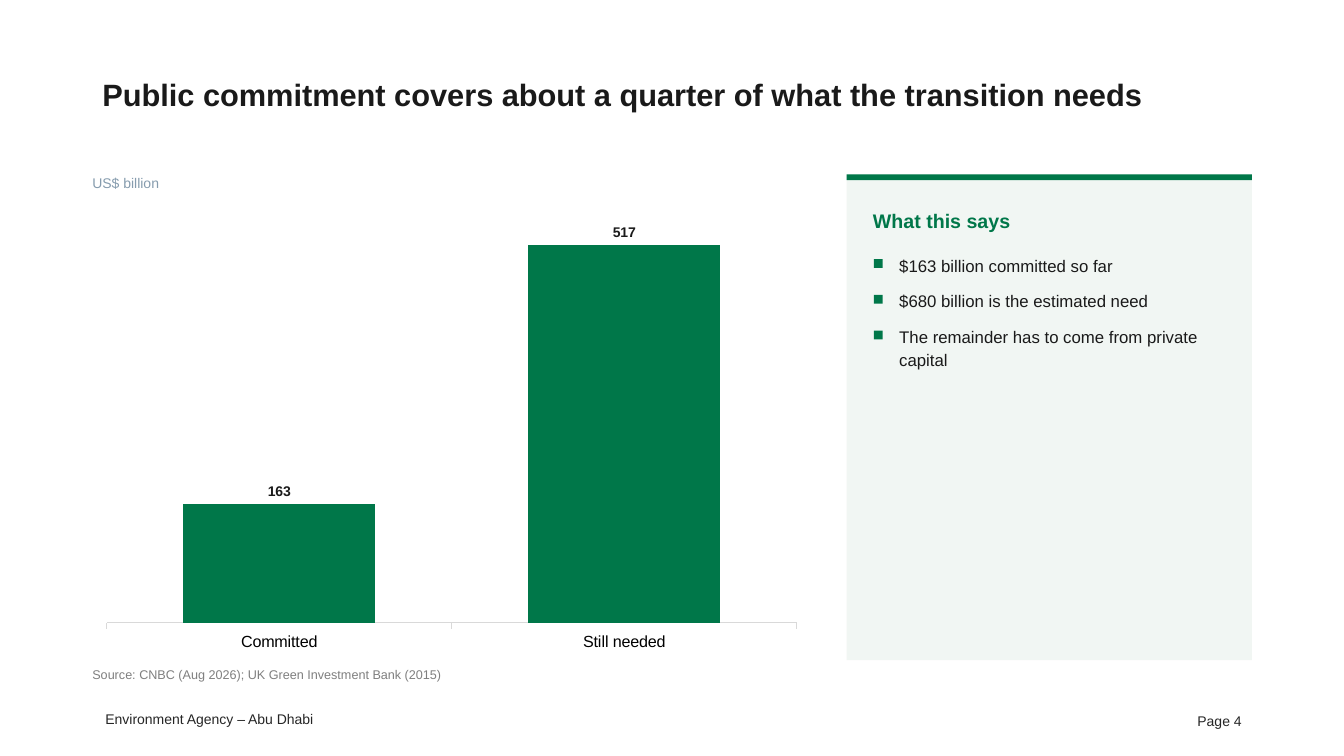
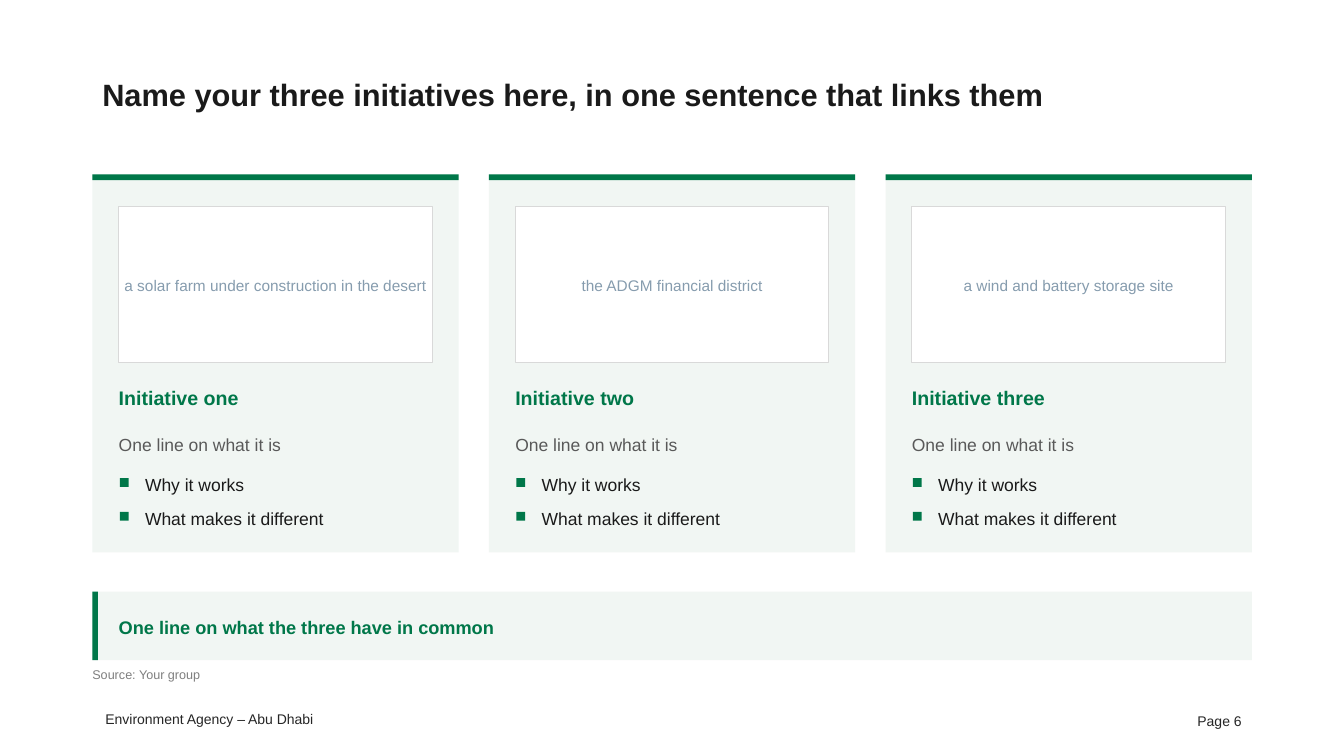
from pptx import Presentation
from pptx.chart.data import CategoryChartData
from pptx.dml.color import RGBColor
from pptx.enum import chart as ch, shapes, text
from pptx.util import Pt

COLORS = {"green": "007749", "tint": "F1F6F3", "white": "FFFFFF", "rule": "D9D9D9",
          "ink": "1A1A1A", "body": "595959", "source": "7F7F7F", "caption": "869CAE",
          "footer": "262626", "black": "000000"}
C = {name: RGBColor.from_string(code) for name, code in COLORS.items()}
FONT = "Arial"

LEFT, WIDTH = 66, 828.2
TOP, BOTTOM = 124.6, 471.6
PAD = 18.8
BAR = 4
INSET = (7.2, 3.6)
A, V = text.PP_ALIGN, text.MSO_ANCHOR


def box(s, x, y, w, h, words="", size=12, color="ink", bold=False, align=A.LEFT,
        anchor=V.TOP, inset=(0, 0), leading=1.12, after=3, wrap=True,
        fill=None, line=None):
    """Add a filled rectangle, or a text box if there is no fill, with its text."""
    place = Pt(x), Pt(y), Pt(w), Pt(h)
    if fill:
        sp = s.shapes.add_shape(shapes.MSO_SHAPE.RECTANGLE, *place)
        sp.shadow.inherit = False
        sp.fill.solid()
        sp.fill.fore_color.rgb = C[fill]
        if line:
            sp.line.color.rgb = C[line]
            sp.line.width = Pt(0.75)
        else:
            sp.line.fill.background()
    else:
        sp = s.shapes.add_textbox(*place)
    if words:
        tf = sp.text_frame
        tf.word_wrap = wrap
        tf.vertical_anchor = anchor
        tf.margin_left = tf.margin_right = Pt(inset[0])
        tf.margin_top = tf.margin_bottom = Pt(inset[1])
        p = tf.paragraphs[0]
        p.alignment = align
        p.line_spacing = leading
        p.space_after = Pt(after)
        r = p.add_run()
        r.text = words
        r.font.name, r.font.size, r.font.bold = FONT, Pt(size), bold
        r.font.color.rgb = C[color]


def points(s, x, y, w, items, size, step):
    """Add one row per item, each a green square marker and its text."""
    for i, item in enumerate(items):
        row_y = y + i * step
        box(s, x + 0.8, row_y + 4.5, 6.3, 6.3, fill="green")
        box(s, x + PAD, row_y, w - PAD, 15, item, size)


prs = Presentation()
prs.slide_width, prs.slide_height = Pt(960), Pt(540)

# Title, source and footer of every slide
pages = [
    ("Public commitment covers about a quarter of what the transition needs",
     "Source: CNBC (Aug 2026); UK Green Investment Bank (2015)", "Page 4"),
    ("Name your three initiatives here, in one sentence that links them",
     "Source: Your group", "Page 6"),
]
for title, source, page in pages:
    s = prs.slides.add_slide(prs.slide_layouts[6])
    box(s, LEFT, 28.8, WIDTH, 75.6, title, 22, bold=True, anchor=V.MIDDLE,
        inset=INSET, leading=1.05, after=0)
    box(s, LEFT, 475.2, 604.8, 15.8, source, 9, "source")
    box(s, 65.8, 504, 165, 19.4, "Environment Agency – Abu Dhabi", 10, "footer",
        align=A.RIGHT, inset=INSET, leading=1, after=0, wrap=False)
    box(s, 678, 500.4, 216, 28.8, page, 10, "footer", align=A.RIGHT,
        anchor=V.MIDDLE, inset=INSET, leading=1, after=0)
funding, initiatives = prs.slides

# Funding: column chart
data = CategoryChartData()
data.categories = ["Committed", "Still needed"]
data.add_series("Series 1", [163, 517])
chart = funding.shapes.add_chart(ch.XL_CHART_TYPE.COLUMN_CLUSTERED, Pt(LEFT), Pt(TOP),
                                 Pt(513.4), Pt(BOTTOM - TOP), data).chart
chart.has_legend = chart.has_title = False
chart.font.name, chart.font.size = FONT, Pt(11.5)
chart.font.color.rgb = C["black"]
values, cats = chart.value_axis, chart.category_axis
values.visible = values.has_major_gridlines = False
values.minimum_scale, values.maximum_scale = 0, 600
cats.major_tick_mark = ch.XL_TICK_MARK.OUTSIDE
cats.format.line.color.rgb = C["rule"]
cats.format.line.width = Pt(0.75)
plot = chart.plots[0]
plot.gap_width = 80
plot.vary_by_categories = False
series = plot.series[0]
series.format.fill.solid()
series.format.fill.fore_color.rgb = C["green"]
labels = series.data_labels
labels.show_value = True
labels.position = ch.XL_LABEL_POSITION.OUTSIDE_END
labels.font.name, labels.font.size, labels.font.bold = FONT, Pt(10), True
labels.font.color.rgb = C["ink"]
box(funding, LEFT, 123.1, 513.4, 17.3, "US$ billion", 10, "caption")

# Funding: takeaway panel
panel_w = 289.5
panel_x = LEFT + WIDTH - panel_w
inner_w = panel_w - 2 * PAD
box(funding, panel_x, TOP, panel_w, BOTTOM - TOP, fill="tint")
box(funding, panel_x, TOP, panel_w, BAR, fill="green")
box(funding, panel_x + PAD, 147.2, inner_w, 21.6, "What this says", 14, "green", True)
points(funding, panel_x + PAD, 180.7, inner_w,
       ["$163 billion committed so far", "$680 billion is the estimated need",
        "The remainder has to come from private capital"], 12, 25.5)

# Initiatives: three cards
cards = [("Initiative one", "a solar farm under construction in the desert"),
         ("Initiative two", "the ADGM financial district"),
         ("Initiative three", "a wind and battery storage site")]
gap = 21.6
card_w = (WIDTH - gap * (len(cards) - 1)) / len(cards)
inner_w = card_w - 2 * PAD
for i, (name, photo) in enumerate(cards):
    x = LEFT + i * (card_w + gap)
    box(initiatives, x, TOP, card_w, 270, fill="tint")
    box(initiatives, x, TOP, card_w, BAR, fill="green")
    x += PAD
    box(initiatives, x, 147.4, inner_w, 111.6, photo, 11, "caption", align=A.CENTER,
        anchor=V.MIDDLE, fill="white", line="rule")
    box(initiatives, x, 273.6, inner_w, 23, name, 14, "green", True)
    box(initiatives, x, 308.2, inner_w, 18.7, "One line on what it is", 12.5, "body")
    points(initiatives, x, 337, inner_w, ["Why it works", "What makes it different"],
           12.5, 24.1)

# Initiatives: common line
band_h = 49
band_y = BOTTOM - band_h
box(initiatives, LEFT, band_y, WIDTH, band_h, "One line on what the three have in common",
    13, "green", True, anchor=V.MIDDLE, inset=(PAD, 0), fill="tint")
box(initiatives, LEFT, band_y, BAR, band_h, fill="green")

prs.save("out.pptx")
